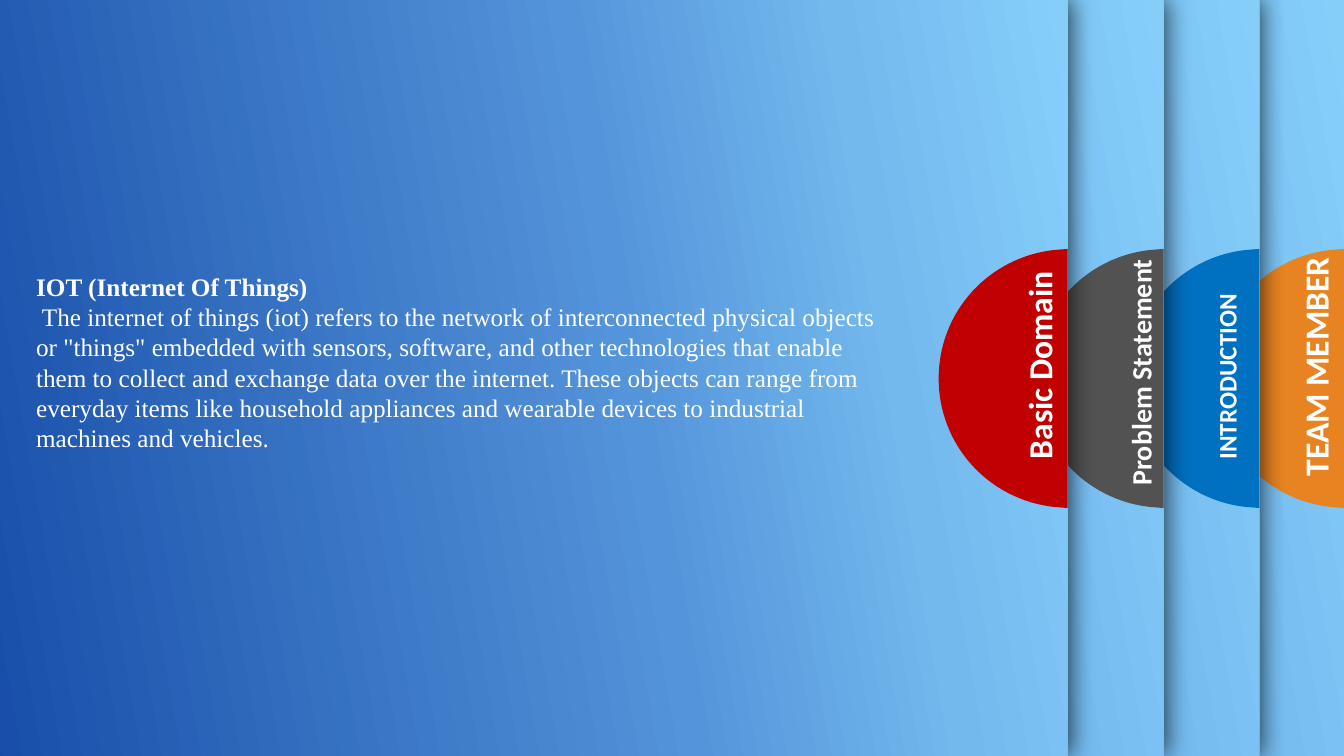
from lxml.etree import SubElement
from pptx import Presentation
from pptx.dml.color import RGBColor
from pptx.enum.shapes import MSO_SHAPE
from pptx.enum.text import MSO_AUTO_SIZE
from pptx.oxml.ns import qn
from pptx.util import Inches, Pt

WIDTH, HEIGHT = 13.33, 7.5
TAB_TOP, TAB_WIDTH, TAB_HEIGHT = 2.47, 1.28, 2.57
LABEL_WIDTH = 3.59
WHITE = "FFFFFF"


def paint_gradient(fill, element, first):
    """Fill with the four blue stops, running right and slightly upwards."""
    fill.gradient()
    fill.gradient_angle = 10
    stops = next(element.iter(qn("a:gsLst")))
    for stop in list(stops):
        stops.remove(stop)
    for pos, color in [(0, first), (66, "5494DA"), (84, "73B9EE"), (100, "86CEFA")]:
        gs = SubElement(stops, qn("a:gs"), pos=str(pos * 1000))
        SubElement(gs, qn("a:srgbClr"), val=color)


def add_text(shapes, box, lines, font, size, rotation=0):
    """Add a text box; lines holds (text, bold) pairs."""
    sp = shapes.add_textbox(*[Inches(v) for v in box])
    sp.rotation = rotation
    tf = sp.text_frame
    tf.word_wrap = True
    tf.auto_size = MSO_AUTO_SIZE.SHAPE_TO_FIT_TEXT
    for i, (text, bold) in enumerate(lines):
        p = tf.paragraphs[0] if i == 0 else tf.add_paragraph()
        r = p.add_run()
        r.text = text
        r.font.name = font
        r.font.size = Pt(size)
        r.font.bold = bold
        r.font.color.rgb = RGBColor.from_string(WHITE)


prs = Presentation()
prs.slide_width, prs.slide_height = Inches(WIDTH), Inches(HEIGHT)
s = prs.slides.add_slide(prs.slide_layouts[6])

# Background
paint_gradient(s.background.fill, s._element, "1348A5")

# Tab outline, from its top left: corners, then control points of the two curves
corners = [(TAB_WIDTH, 0), (TAB_WIDTH, TAB_HEIGHT), (1.15, TAB_HEIGHT - 0.01),
           (0, TAB_HEIGHT / 2), (1.15, 0.01)]
curves = [[(0.5, 2.49), (0, 1.95)], [(0, 0.62), (0.5, 0.08)]]

# Stacked panels: right edge, tab colour, label, size, label left, top, height
panels = [
    (13.33, "E78421", "TEAM MEMBER", 24, 11.25, 2.78, 0.5),
    (12.49, "0070C0", "INTRODUCTION", 18, 10.37, 2.66, 0.4),
    (11.54, "525252", "Problem Statement", 20, 9.52, 2.9, 0.44),
    (10.59, "C00000", "Basic Domain", 24, 8.51, 2.61, 0.5),
]
for right, color, label, size, left, top, height in panels:
    shapes = s.shapes.add_group_shape().shapes

    # Panel with a soft shadow on its right
    sp = shapes.add_shape(MSO_SHAPE.RECTANGLE, Inches(right - WIDTH), 0,
                          Inches(WIDTH), Inches(HEIGHT))
    paint_gradient(sp.fill, sp._element, "003396")
    sp.line.fill.background()
    sp.shadow.inherit = False
    effects = sp._element.spPr.find(qn("a:effectLst"))
    shadow = SubElement(effects, qn("a:outerShdw"), blurRad=str(Pt(17)),
                        dist=str(Pt(3)), dir="0", algn="l", rotWithShape="0")
    black = SubElement(shadow, qn("a:srgbClr"), val="000000")
    SubElement(black, qn("a:alpha"), val="65000")

    # Half-round tab against the right edge
    points = [(Inches(right - TAB_WIDTH + x), Inches(TAB_TOP + y)) for x, y in corners]
    builder = shapes.build_freeform(*points[0])
    builder.add_line_segments(points[1:], close=True)
    tab = builder.convert_to_shape()
    tab.fill.solid()
    tab.fill.fore_color.rgb = RGBColor.from_string(color)
    tab.line.fill.background()
    tab.shadow.inherit = False

    # Turn the last two sides into curves
    sides = list(tab._element.iter(qn("a:lnTo")))[2:4]
    for side, controls in zip(sides, curves):
        side.tag = qn("a:cubicBezTo")
        for i, (x, y) in enumerate(controls):
            pt = SubElement(side, qn("a:pt"), x=str(Inches(x)), y=str(Inches(y)))
            side.insert(i, pt)

    # Label reading upwards
    add_text(shapes, (left, top, LABEL_WIDTH, height), [(label, True)],
             "Calibri", size, 270)

# Body text
body = (
    " The internet of things (iot) refers to the network of interconnected physical "
    'objects or "things" embedded with sensors, software, and other technologies that '
    "enable them to collect and exchange data over the internet. These objects can "
    "range from everyday items like household appliances and wearable devices to "
    "industrial machines and vehicles."
)
add_text(s.shapes, (0.26, 2.64, 8.62, 1.92),
         [("IOT (Internet Of Things)", True), (body, False)], "Times New Roman", 18)

prs.save("out.pptx")
